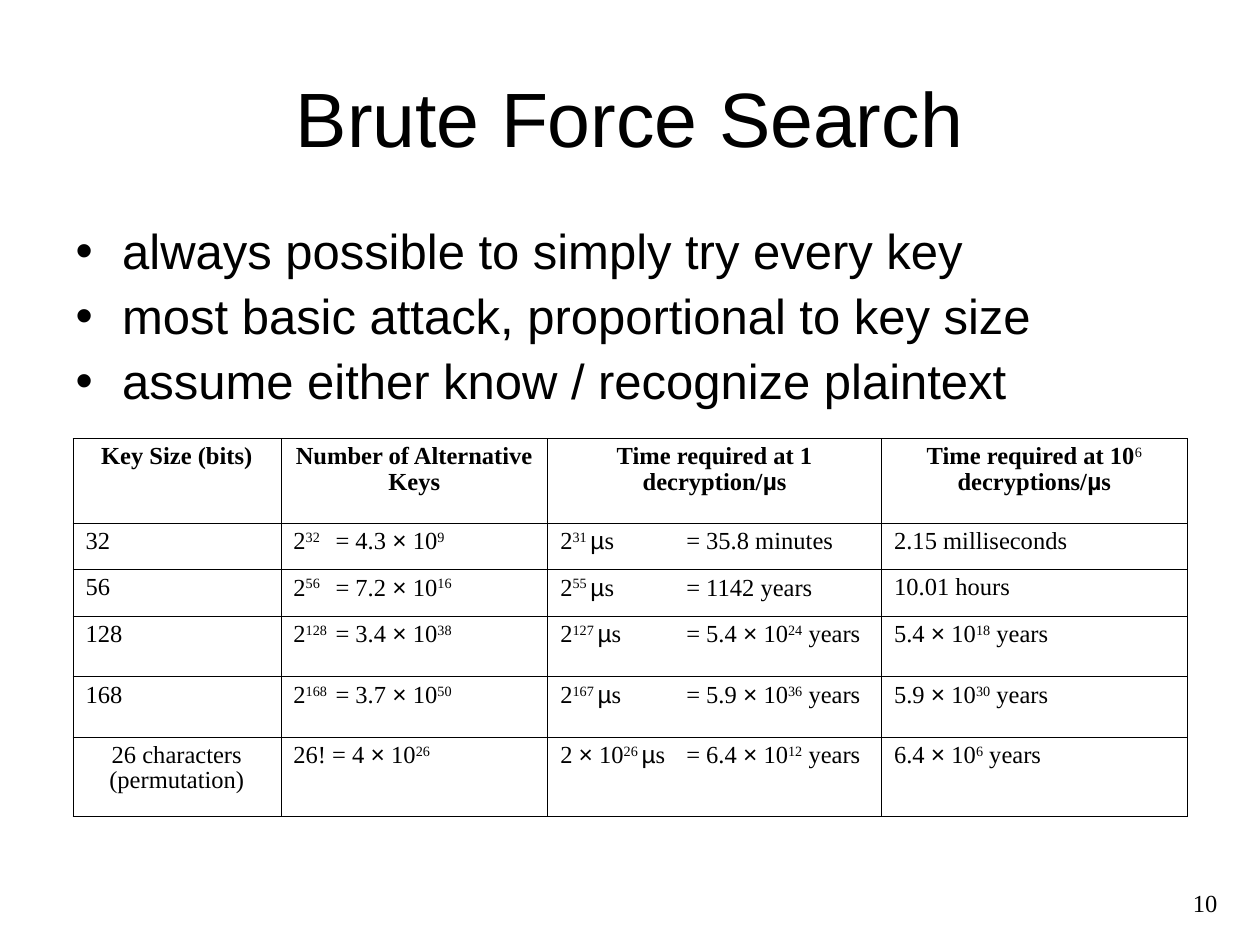
import dataclasses
import itertools

import pptx
import pptx.dml.color
import pptx.enum.text
import pptx.oxml
import pptx.oxml.ns
import pptx.util

Cm = pptx.util.Cm
Pt = pptx.util.Pt
ALIGN = pptx.enum.text.PP_ALIGN
ANCHOR = pptx.enum.text.MSO_ANCHOR
NAMESPACE = pptx.oxml.ns.nsdecls("a")


@dataclasses.dataclass(frozen=True)
class Theme:
    ink: str = "000000"
    paper: str = "FFFFFF"
    sans: str = "Arial"
    serif: str = "Times New Roman"
    title_size: float = 44
    point_size: float = 28
    small_size: float = 14
    outer_line: float = 0.5
    inner_line: float = 0.23


@dataclasses.dataclass(frozen=True)
class Box:
    left: float
    top: float
    width: float
    height: float

    def lengths(self):
        return [Cm(v) for v in dataclasses.astuple(self)]


THEME = Theme()
SYMBOLS = "µ×"
POINTS = [
    "always possible to simply try every key",
    "most basic attack, proportional to key size",
    "assume either know / recognize plaintext",
]
COLUMN_WIDTHS = [4.19, 5.38, 6.73, 6.16]
COLUMN_TABS = [None, 0.85, 2.54, None]
ROW_HEIGHTS = [1.7, 0.94, 0.94, 1.22, 1.22, 1.6]
# Text between two ^ marks is raised.
KEY_ROWS = [
    ["Key Size (bits)", "Number of Alternative Keys",
     "Time required at 1 decryption/µs", "Time required at 10^6^ decryptions/µs"],
    ["32", "2^32^\t= 4.3 × 10^9^", "2^31 ^µs\t= 35.8 minutes", "2.15 milliseconds"],
    ["56", "2^56^\t= 7.2 × 10^16^", "2^55 ^µs\t= 1142 years", "10.01 hours"],
    ["128", "2^128^\t= 3.4 × 10^38^", "2^127 ^µs\t= 5.4 × 10^24^ years", "5.4 × 10^18^ years"],
    ["168", "2^168^\t= 3.7 × 10^50^", "2^167 ^µs\t= 5.9 × 10^36^ years", "5.9 × 10^30^ years"],
    ["26 characters (permutation)", "26! = 4 × 10^26^",
     "2 × 10^26 ^µs\t= 6.4 × 10^12^ years", "6.4 × 10^6^ years"],
]


def write(paragraph, text, *, size, font=THEME.sans, bold=False, align=ALIGN.LEFT,
          line=None, before=None, after=None, tab=None):
    paragraph.alignment = align
    if line is not None:
        paragraph.line_spacing = line
    if before is not None:
        paragraph.space_before = Pt(before)
    if after is not None:
        paragraph.space_after = Pt(after)
    if tab is not None:
        paragraph._p.get_or_add_pPr().append(pptx.oxml.parse_xml(
            f'<a:tabLst {NAMESPACE}><a:tab pos="{Cm(tab)}" algn="l"/></a:tabLst>'))
    for position, part in enumerate(text.split("^")):
        raised = position % 2 == 1
        for is_symbol, letters in itertools.groupby(part, lambda c: c in SYMBOLS):
            run = paragraph.add_run()
            run.text = "".join(letters)
            run.font.size = Pt(size)
            run.font.name = THEME.sans if is_symbol else font
            run.font.bold = bold and not raised
            run.font.color.rgb = pptx.dml.color.RGBColor.from_string(THEME.ink)
            if raised:
                run.font._element.set("baseline", "30000")


def place(placeholder, box):
    placeholder.left, placeholder.top, placeholder.width, placeholder.height = box.lengths()
    placeholder.text_frame.auto_size = pptx.enum.text.MSO_AUTO_SIZE.NONE
    return placeholder.text_frame


def add_title(slide, box):
    heading = place(slide.shapes.title, box)
    heading.vertical_anchor = ANCHOR.MIDDLE
    write(heading.paragraphs[0], "Brute Force Search", size=THEME.title_size,
          align=ALIGN.CENTER)


def add_points(slide, box):
    points = place(slide.placeholders[1], box)
    points.vertical_anchor = ANCHOR.TOP
    for index, text in enumerate(POINTS):
        point = points.add_paragraph() if index else points.paragraphs[0]
        write(point, text, size=THEME.point_size, line=0.9, before=7)
        properties = point._p.get_or_add_pPr()
        properties.set("marL", str(Cm(0.94)))
        properties.set("indent", str(-Cm(0.94)))
        properties.append(pptx.oxml.parse_xml(f'<a:buChar {NAMESPACE} char="•"/>'))


def add_borders(cell, outer_sides):
    for side in "LRTB":
        width = Pt(THEME.outer_line if side in outer_sides else THEME.inner_line)
        cell._tc.get_or_add_tcPr().append(pptx.oxml.parse_xml(
            f'<a:ln{side} {NAMESPACE} w="{width}"><a:solidFill>'
            f'<a:srgbClr val="{THEME.ink}"/></a:solidFill></a:ln{side}>'))


def add_key_table(slide, box):
    last_row, last_column = len(ROW_HEIGHTS) - 1, len(COLUMN_WIDTHS) - 1
    key_table = slide.shapes.add_table(
        len(ROW_HEIGHTS), len(COLUMN_WIDTHS), *box.lengths()).table
    key_table.first_row = key_table.horz_banding = False
    for column, width in zip(key_table.columns, COLUMN_WIDTHS):
        column.width = Cm(width)
    for row, height in zip(key_table.rows, ROW_HEIGHTS):
        row.height = Cm(height)
    for r, texts in enumerate(KEY_ROWS):
        for c, text in enumerate(texts):
            cell = key_table.cell(r, c)
            edges = {"L": c == 0, "R": c == last_column, "T": r == 0, "B": r == last_row}
            add_borders(cell, [side for side, outer in edges.items() if outer])
            cell.fill.background()
            centred = r == 0 or (r == last_row and c == 0)
            write(cell.text_frame.paragraphs[0], text, size=THEME.small_size,
                  font=THEME.serif, bold=r == 0,
                  align=ALIGN.CENTER if centred else ALIGN.LEFT,
                  line=0.93, before=3, after=3,
                  tab=COLUMN_TABS[c] if "\t" in text else None)


def add_page_number(slide, box):
    page_number = slide.shapes.add_textbox(*box.lengths()).text_frame
    page_number.word_wrap = True
    write(page_number.paragraphs[0], "10", size=THEME.small_size, font=THEME.serif,
          align=ALIGN.RIGHT)


def main():
    deck = pptx.Presentation()
    deck.slide_width, deck.slide_height = Cm(25.4), Cm(19.05)
    slide = deck.slides.add_slide(deck.slide_layouts[1])
    slide.background.fill.solid()
    slide.background.fill.fore_color.rgb = pptx.dml.color.RGBColor.from_string(THEME.paper)
    add_title(slide, Box(1.27, 0.76, 22.86, 3.18))
    add_points(slide, Box(1.27, 4.45, 22.86, 5.16))
    add_key_table(slide, Box(1.47, 8.84, sum(COLUMN_WIDTHS), sum(ROW_HEIGHTS)))
    add_page_number(slide, Box(23.06, 17.78, 1.73, 1.27))
    deck.save("out.pptx")


if __name__ == "__main__":
    main()
